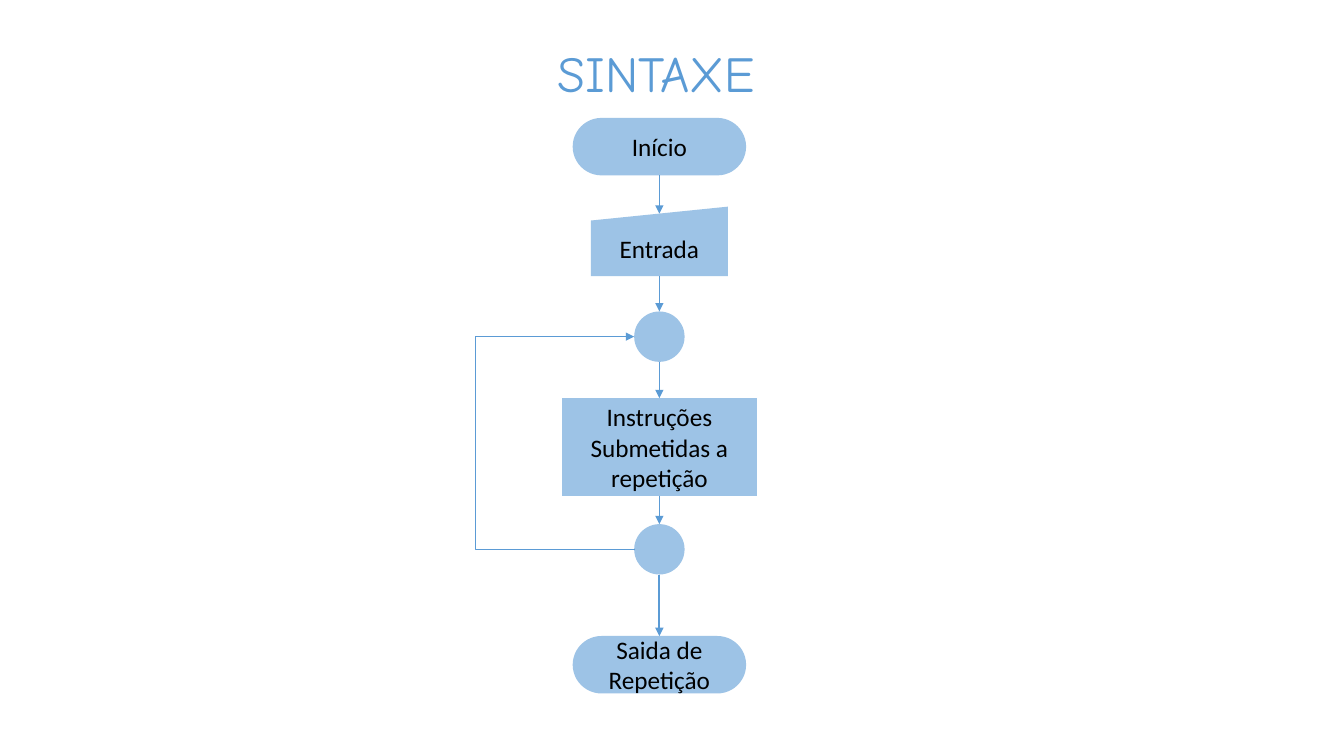
from dataclasses import dataclass
from itertools import pairwise

from lxml.etree import SubElement
from pptx import Presentation
from pptx.dml.color import RGBColor
from pptx.enum.shapes import MSO_CONNECTOR as Route, MSO_SHAPE as Form
from pptx.enum.text import MSO_ANCHOR as Anchor, MSO_AUTO_SIZE as AutoSize, PP_ALIGN as Align
from pptx.oxml.ns import qn
from pptx.shapes.autoshape import Shape
from pptx.shapes.connector import Connector
from pptx.slide import Slide
from pptx.util import Inches, Pt


@dataclass(frozen=True)
class Theme:
    accent: RGBColor = RGBColor(0x5B, 0x9B, 0xD5)
    step_fill: RGBColor = RGBColor(0x9D, 0xC3, 0xE6)
    ink: RGBColor = RGBColor(0, 0, 0)
    title_font: str = "Comic Neue"
    step_font: str = "Calibri"
    title_size: int = 36
    step_size: int = 18
    thin: float = 0.5
    thick: float = 1.5


@dataclass(frozen=True)
class Step:
    form: Form
    top: float
    width: float
    height: float
    label: str = ""
    arrow_inset: float = 0
    exit_weight: float = Theme.thin

    @property
    def middle(self) -> float:
        return self.top + self.height / 2

    @property
    def bottom(self) -> float:
        return self.top + self.height


THEME = Theme()
AXIS = 6.54
LOOP_LEFT = 4.69
LOOP_SPAN = 0.01
STEPS = [
    Step(Form.ROUNDED_RECTANGLE, 1.17, 1.72, 0.57, "Início"),
    Step(Form.FLOWCHART_MANUAL_INPUT, 2.05, 1.36, 0.69, "Entrada", arrow_inset=0.07),
    Step(Form.FLOWCHART_CONNECTOR, 3.09, 0.5, 0.5),
    Step(Form.FLOWCHART_PROCESS, 3.95, 1.94, 0.97, "Instruções Submetidas a repetição"),
    Step(Form.FLOWCHART_CONNECTOR, 5.2, 0.5, 0.5, exit_weight=THEME.thick),
    Step(Form.ROUNDED_RECTANGLE, 6.31, 1.72, 0.57, "Saida de Repetição"),
]


def apply_format(target: object, values: dict[str, object]) -> None:
    for name, value in values.items():
        setattr(target, name, value)


def write_label(shape: Shape, label: str, font: str, size: int, color: RGBColor) -> None:
    frame = shape.text_frame
    apply_format(frame, {"text": label, "word_wrap": True, "vertical_anchor": Anchor.MIDDLE})
    paragraph = frame.paragraphs[0]
    paragraph.alignment = Align.CENTER
    run_font = paragraph.runs[0].font
    apply_format(run_font, {"name": font, "size": Pt(size), "bold": False})
    run_font.color.rgb = color


def draw_title(slide: Slide) -> None:
    title = slide.shapes.title
    apply_format(title, {
        "left": Inches(0.56), "top": Inches(0.36),
        "width": Inches(11.9), "height": Inches(0.71),
    })
    write_label(title, "SINTAXE", THEME.title_font, THEME.title_size, THEME.accent)
    title.text_frame.auto_size = AutoSize.SHAPE_TO_FIT_TEXT


def draw_step(slide: Slide, step: Step) -> Shape:
    shape = slide.shapes.add_shape(
        step.form, Inches(AXIS - step.width / 2), Inches(step.top),
        Inches(step.width), Inches(step.height),
    )
    shape.shadow.inherit = False
    shape.fill.solid()
    shape.fill.fore_color.rgb = THEME.step_fill
    shape.line.fill.background()
    if step.form == Form.ROUNDED_RECTANGLE:
        shape.adjustments[0] = 0.5
    if step.label:
        write_label(shape, step.label, THEME.step_font, THEME.step_size, THEME.ink)
    return shape


def draw_arrow(slide: Slide, route: Route, start: tuple[float, float],
               end: tuple[float, float], weight: float) -> Connector:
    arrow = slide.shapes.add_connector(route, *map(Inches, start + end))
    arrow.line.color.rgb = THEME.accent
    arrow.line.width = Pt(weight)
    properties = arrow.element.spPr
    SubElement(properties.find(qn("a:ln")), qn("a:tailEnd"), type="triangle")
    SubElement(properties, qn("a:effectLst"))
    return arrow


def draw_flow(slide: Slide) -> None:
    drawn = [(step, draw_step(slide, step)) for step in STEPS]
    for (source, source_shape), (target, target_shape) in pairwise(drawn):
        arrow = draw_arrow(
            slide, Route.STRAIGHT, (AXIS, source.bottom),
            (AXIS, target.top + target.arrow_inset), source.exit_weight,
        )
        if source.form != Form.FLOWCHART_CONNECTOR:
            arrow.begin_connect(source_shape, 2)
        if not target.arrow_inset:
            arrow.end_connect(target_shape, 0)


def draw_loop(slide: Slide) -> None:
    loop_start, loop_end = [step for step in STEPS if step.form == Form.FLOWCHART_CONNECTOR]
    entry = AXIS - loop_start.width / 2
    origin = entry + LOOP_SPAN
    loop = draw_arrow(
        slide, Route.ELBOW, (origin, loop_end.middle), (entry, loop_start.middle), THEME.thin,
    )
    bend = round((origin - LOOP_LEFT) / LOOP_SPAN * 100000)
    guides = loop.element.spPr.find(qn("a:prstGeom")).get_or_add_avLst()
    SubElement(guides, qn("a:gd"), name="adj1", fmla=f"val {bend}")


def main() -> None:
    deck = Presentation()
    apply_format(deck, {"slide_width": Inches(13.33), "slide_height": Inches(7.5)})
    slide = deck.slides.add_slide(deck.slide_layouts.get_by_name("Title Only"))
    draw_title(slide)
    draw_flow(slide)
    draw_loop(slide)
    deck.save("out.pptx")


if __name__ == "__main__":
    main()
